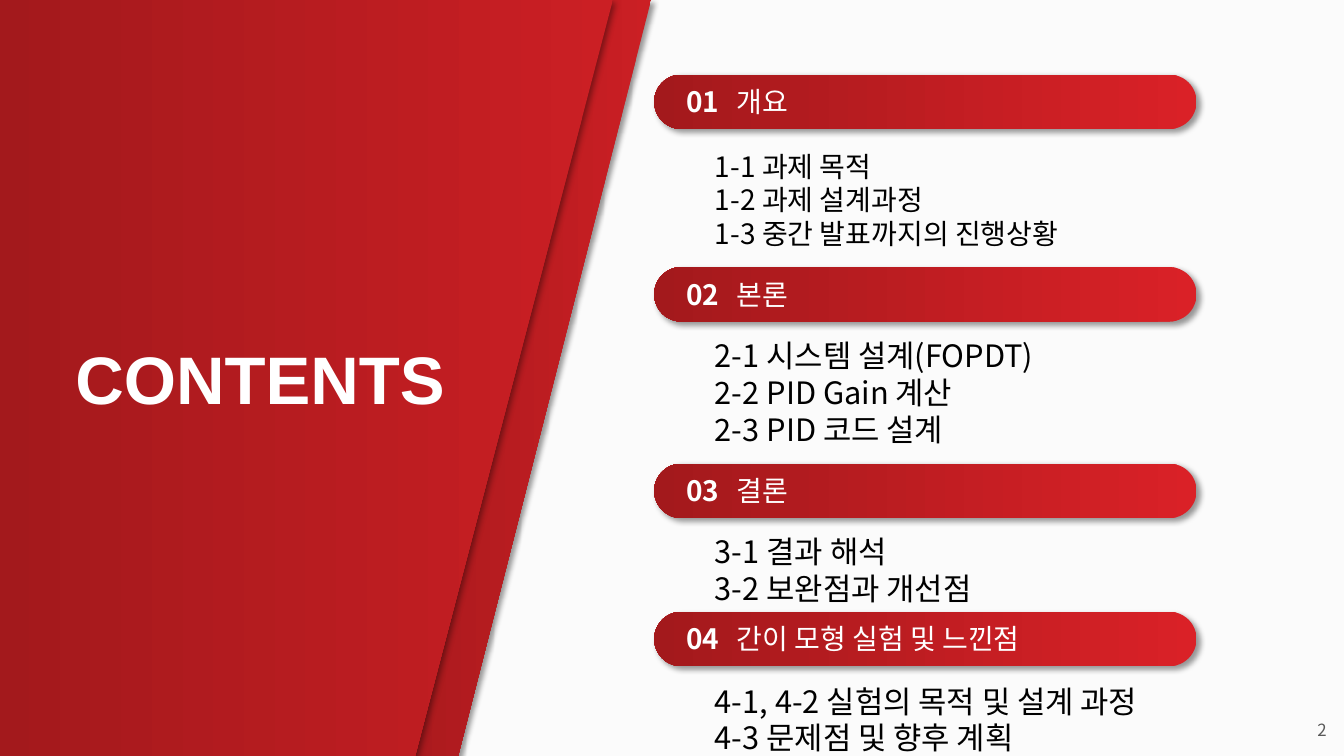
from lxml import etree
from pptx import Presentation
from pptx import util as u
from pptx.dml.color import RGBColor
from pptx.enum import shapes, text
from pptx.oxml import ns

Pt = u.Pt

# Content: number, title, bar top, list top, list type size, list lines
SECTIONS = [
    ("01", "개요", 53.3, 103, "list_small",
     ["1-1 과제 목적", "1-2 과제 설계과정", "1-3 중간 발표까지의 진행상황"]),
    ("02", "본론", 190.8, 236.9, "list_large",
     ["2-1 시스템 설계(FOPDT)", "2-2 PID Gain 계산", "2-3 PID 코드 설계"]),
    ("03", "결론", 331.2, 377.3, "list_large",
     ["3-1 결과 해석", "3-2 보완점과 개선점"]),
    ("04", "간이 모형 실험 및 느낀점", 437, 483.8, "list_large",
     ["4-1, 4-2 실험의 목적 및 설계 과정", "4-3 문제점 및 향후 계획"]),
]
HEADING = "CONTENTS"
PAGE_NUMBER = "2"

THEME = {
    "korean": "Noto Sans CJK KR", "latin": "Arial",
    "background": "FBFBFB", "white": "FFFFFF", "black": "000000", "grey": "595959",
    "bar": ("DA2127", "A3191C"), "panel": ("CB1F24", "A3191C"),
    "heading": 48, "title": 20, "list_small": 20, "list_large": 22, "page": 12,
}

# Layout in points
WIDTH, HEIGHT = 960, 540
BAR_LEFT, BAR_WIDTH, BAR_HEIGHT = 467.3, 387.4, 38.9
NUMBER_LEFT, NUMBER_WIDTH = 483.1, 193.7
TITLE_LEFT, TITLE_WIDTH = 519.1, 378
TITLE_HEIGHT, TITLE_OFFSET = 31.7, 3.6
LIST_LEFT, LIST_WIDTH = 503.6, 353.5
LINE_FACTOR, INSETS = 1.21, 7.2
PANEL_OUTLINE = [(-1.4, 0), (437.8, 0), (296.6, HEIGHT), (-1.4, HEIGHT)]


def style_red(shape, colours):
    """Gradient from right to left, no outline, soft shadow."""
    shape.fill.gradient()
    shape.fill.gradient_angle = 180
    for stop, colour in zip(shape.fill.gradient_stops, colours):
        stop.color.rgb = RGBColor.from_string(colour)
    shape.line.fill.background()
    shape.shadow.inherit = False
    effects = shape._element.spPr.find(ns.qn("a:effectLst"))
    shadow = etree.SubElement(effects, ns.qn("a:outerShdw"), blurRad=str(Pt(4)),
                              dist=str(Pt(3)), dir="2700000", algn="tl", rotWithShape="0")
    colour = etree.SubElement(shadow, ns.qn("a:srgbClr"), val=THEME["black"])
    etree.SubElement(colour, ns.qn("a:alpha"), val="40000")


def add_text(parent, box, lines, size, colour, font="korean", bold=False,
             alignment=text.PP_ALIGN.LEFT):
    frame = parent.add_textbox(*map(Pt, box)).text_frame
    frame.word_wrap = True
    frame.auto_size = text.MSO_AUTO_SIZE.SHAPE_TO_FIT_TEXT
    font_format = {"name": THEME[font], "size": Pt(THEME[size]), "bold": bold}
    for index, line in enumerate(lines):
        paragraph = frame.add_paragraph() if index else frame.paragraphs[0]
        paragraph.alignment = alignment
        run = paragraph.add_run()
        run.text = line
        for name, value in font_format.items():
            setattr(run.font, name, value)
        run.font.color.rgb = RGBColor.from_string(THEME[colour])
        etree.SubElement(run._r.get_or_add_rPr(), ns.qn("a:ea"), typeface=THEME[font])


def add_section(slide, number, title, bar_top, list_top, size, lines):
    group = slide.shapes.add_group_shape().shapes
    bar = group.add_shape(shapes.MSO_SHAPE.ROUNDED_RECTANGLE,
                          *map(Pt, (BAR_LEFT, bar_top, BAR_WIDTH, BAR_HEIGHT)))
    bar.adjustments[0] = 0.5
    style_red(bar, THEME["bar"])
    text_top = bar_top + TITLE_OFFSET
    add_text(group, (TITLE_LEFT, text_top, TITLE_WIDTH, TITLE_HEIGHT),
             [title], "title", "white")
    add_text(group, (NUMBER_LEFT, text_top, NUMBER_WIDTH, TITLE_HEIGHT),
             [number], "title", "white", bold=True)
    list_height = len(lines) * THEME[size] * LINE_FACTOR + INSETS
    add_text(slide.shapes, (LIST_LEFT, list_top, LIST_WIDTH, list_height),
             lines, size, "black")


def add_panel(slide):
    edge = slide.shapes.add_shape(shapes.MSO_SHAPE.PARALLELOGRAM,
                                  *map(Pt, (256.3, 0, 208.8, HEIGHT)))
    edge.adjustments[0] = 0.66
    style_red(edge, THEME["panel"])
    corners = [(Pt(x), Pt(y)) for x, y in PANEL_OUTLINE]
    builder = slide.shapes.build_freeform(*corners[0])
    builder.add_line_segments(corners[1:], close=True)
    style_red(builder.convert_to_shape(), THEME["panel"])
    add_text(slide.shapes, (17.3, 237.6, 337, 65.5), [HEADING], "heading", "white",
             font="latin", bold=True, alignment=text.PP_ALIGN.CENTER)


def main():
    presentation = Presentation()
    presentation.slide_width, presentation.slide_height = Pt(WIDTH), Pt(HEIGHT)
    slide = presentation.slides.add_slide(presentation.slide_layouts[6])
    slide.background.fill.solid()
    slide.background.fill.fore_color.rgb = RGBColor.from_string(THEME["background"])

    # Red panel on the left
    add_panel(slide)

    # Section bars with their lists
    for section in SECTIONS:
        add_section(slide, *section)

    # Page number
    add_text(slide.shapes, (839.5, 510.5, 115.2, 21.6), [PAGE_NUMBER], "page", "grey",
             alignment=text.PP_ALIGN.RIGHT)
    presentation.save("out.pptx")


if __name__ == "__main__":
    main()
